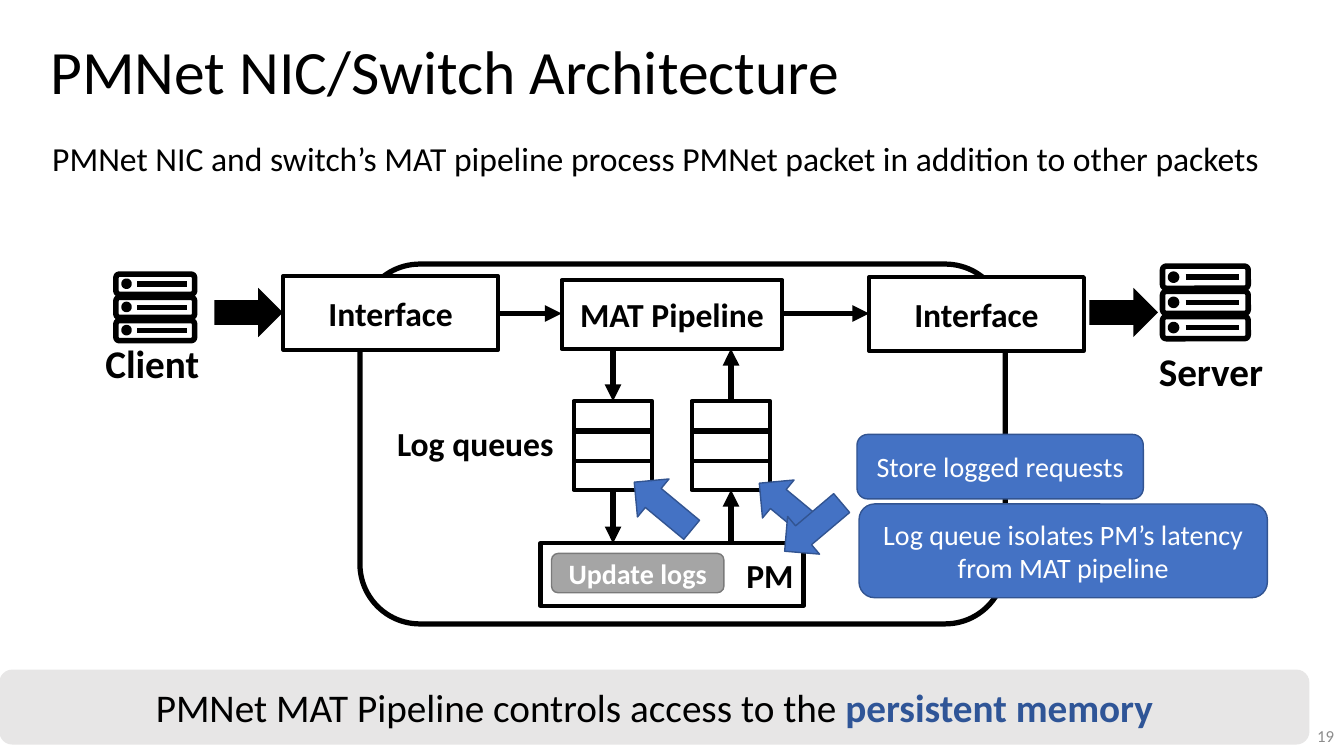
"""Build the PMNet NIC/Switch Architecture slide."""
import pptx
import pptx.dml.color
import pptx.enum.shapes
import pptx.enum.text
import pptx.oxml.ns
import pptx.util
from lxml import etree

PX = 9144
COLORS = {
    "black": "000000", "white": "FFFFFF", "blue": "4472C4", "navy": "325491",
    "accent": "2F5597", "banner": "E7E6E6", "gray": "A5A5A5",
    "gray_edge": "7A7A7A", "number": "8C8C8C",
}
KIND = pptx.enum.shapes.MSO_SHAPE
ALIGN = pptx.enum.text.PP_ALIGN
ANCHOR = pptx.enum.text.MSO_ANCHOR


def draw(kind, frame, fill=None, line="black", weight=3, rotation=0):
    shape = page.shapes.add_shape(kind, *[value * PX for value in frame])
    shape.shadow.inherit = False
    shape.rotation = rotation
    for part, color in ((shape.fill, fill), (shape.line.fill, line)):
        if color:
            part.solid()
            part.fore_color.rgb = pptx.dml.color.RGBColor.from_string(COLORS[color])
        else:
            part.background()
    if line:
        shape.line.width = pptx.util.Pt(weight)
    return shape


def write(box, spans, size, align=ALIGN.CENTER, anchor=ANCHOR.MIDDLE):
    frame_format = {"word_wrap": True, "vertical_anchor": anchor,
                    "auto_size": pptx.enum.text.MSO_AUTO_SIZE.NONE}
    for name, value in frame_format.items():
        setattr(box.text_frame, name, value)
    para = box.text_frame.paragraphs[0]
    para.alignment = align
    for text, color, bold in spans:
        span = para.add_run()
        span.text = text
        span_format = {"name": "Calibri", "size": pptx.util.Pt(size), "bold": bold}
        for name, value in span_format.items():
            setattr(span.font, name, value)
        span.font.color.rgb = pptx.dml.color.RGBColor.from_string(COLORS[color])
    return para


deck = pptx.Presentation()
deck.slide_width, deck.slide_height = 1333 * PX, 750 * PX
page = deck.slides.add_slide(deck.slide_layouts[5])

title = page.shapes.title
title_frame = {"left": 40, "top": 1, "width": 1150, "height": 145}
for name, value in title_frame.items():
    setattr(title, name, value * PX)
heading = write(title, [("PMNet NIC/Switch Architecture", "black", False)], 44, ALIGN.LEFT)
heading.line_spacing = 0.9

draw(KIND.ROUNDED_RECTANGLE, (357, 262, 640, 357), weight=3.75)
for left in (222, 1090):
    draw(KIND.DOWN_ARROW, (left, 276, 49, 68), "black", None, rotation=270)

for frame, label in (
    ((557, 278, 219, 68), "MAT Pipeline"),
    ((862, 275, 213, 73), "Interface"),
    ((281, 274, 213, 73), "Interface"),
):
    write(draw(KIND.RECTANGLE, frame, "white"), [(label, "black", True)], 24)

banner = draw(KIND.ROUNDED_RECTANGLE, (0, 665, 1298, 73), "banner", "banner", 1)
write(banner, [("PMNet MAT Pipeline controls access to the ", "black", False),
               ("persistent memory", "accent", True)], 28)

memory = draw(KIND.RECTANGLE, (536, 539, 261, 62), "white")
write(memory, [("PM", "black", True)], 24, ALIGN.RIGHT)
update = draw(KIND.ROUNDED_RECTANGLE, (547, 549, 171, 39), "gray", "gray_edge", 1)
write(update, [("Update logs", "white", True)], 20)

for left in (686, 569):
    for row in range(3):
        draw(KIND.RECTANGLE, (left, 398 + round(row * 29.5), 78, 29), "white")

arrows = [
    (494, 311, 557, 311), (776, 311, 862, 311),
    (725, 398, 725, 346), (725, 539, 725, 486),
    (608, 345, 608, 398), (608, 486, 608, 539),
]
bars = []
for left, top, width, height, pitch, dot, bar_left, bar_right in (
    (1153, 264, 85, 22, 25, 6, 23, 76),
    (115, 272, 78, 20, 23, 5, 21, 70),
):
    for row in range(3):
        unit_top = top + row * pitch
        middle = unit_top + height // 2
        draw(KIND.ROUNDED_RECTANGLE, (left, unit_top, width, height), weight=4)
        draw(KIND.OVAL, (left + 8, middle - 3, dot, dot), weight=4)
        bars.append((left + bar_left, middle, left + bar_right, middle))

for ends in arrows + bars:
    link = page.shapes.add_connector(
        pptx.enum.shapes.MSO_CONNECTOR.STRAIGHT, *[value * PX for value in ends])
    link.line.width = pptx.util.Pt(4)
    link.line.color.rgb = pptx.dml.color.RGBColor.from_string(COLORS["black"])
    if ends in arrows:
        etree.SubElement(link.line._get_or_add_ln(), pptx.oxml.ns.qn("a:tailEnd"), type="triangle")
    etree.SubElement(link._element.spPr, pptx.oxml.ns.qn("a:effectLst"))

for kind, frame, rotation, label in (
    (KIND.DOWN_ARROW, (757, 466, 49, 74), 129.7, ""),
    (KIND.ROUNDED_RECTANGLE, (852, 500, 405, 93), 0,
     "Log queue isolates PM’s latency from MAT pipeline"),
    (KIND.DOWN_ARROW, (633, 465, 49, 74), 129.7, ""),
    (KIND.ROUNDED_RECTANGLE, (850, 431, 284, 64), 0, "Store logged requests"),
    (KIND.DOWN_ARROW, (782, 486, 49, 74), 49.8, ""),
):
    callout = draw(kind, frame, "blue", "navy", 1, rotation)
    if label:
        write(callout, [(label, "white", False)], 20)

for frame, text, size, color, bold, align, anchor in (
    ((42, 132, 1267, 50),
     "PMNet NIC and switch’s MAT pipeline process PMNet packet in addition to other packets",
     24, "black", False, ALIGN.LEFT, ANCHOR.TOP),
    ((383, 415, 177, 50), "Log queues", 24, "black", True, ALIGN.CENTER, ANCHOR.TOP),
    ((1110, 340, 182, 57), "Server", 28, "black", True, ALIGN.CENTER, ANCHOR.TOP),
    ((60, 332, 182, 57), "Client", 28, "black", True, ALIGN.CENTER, ANCHOR.TOP),
    ((1033, 710, 300, 40), "19", 12, "number", False, ALIGN.RIGHT, ANCHOR.MIDDLE),
):
    box = page.shapes.add_textbox(*[value * PX for value in frame])
    write(box, [(text, color, bold)], size, align, anchor)

deck.save("out.pptx")
